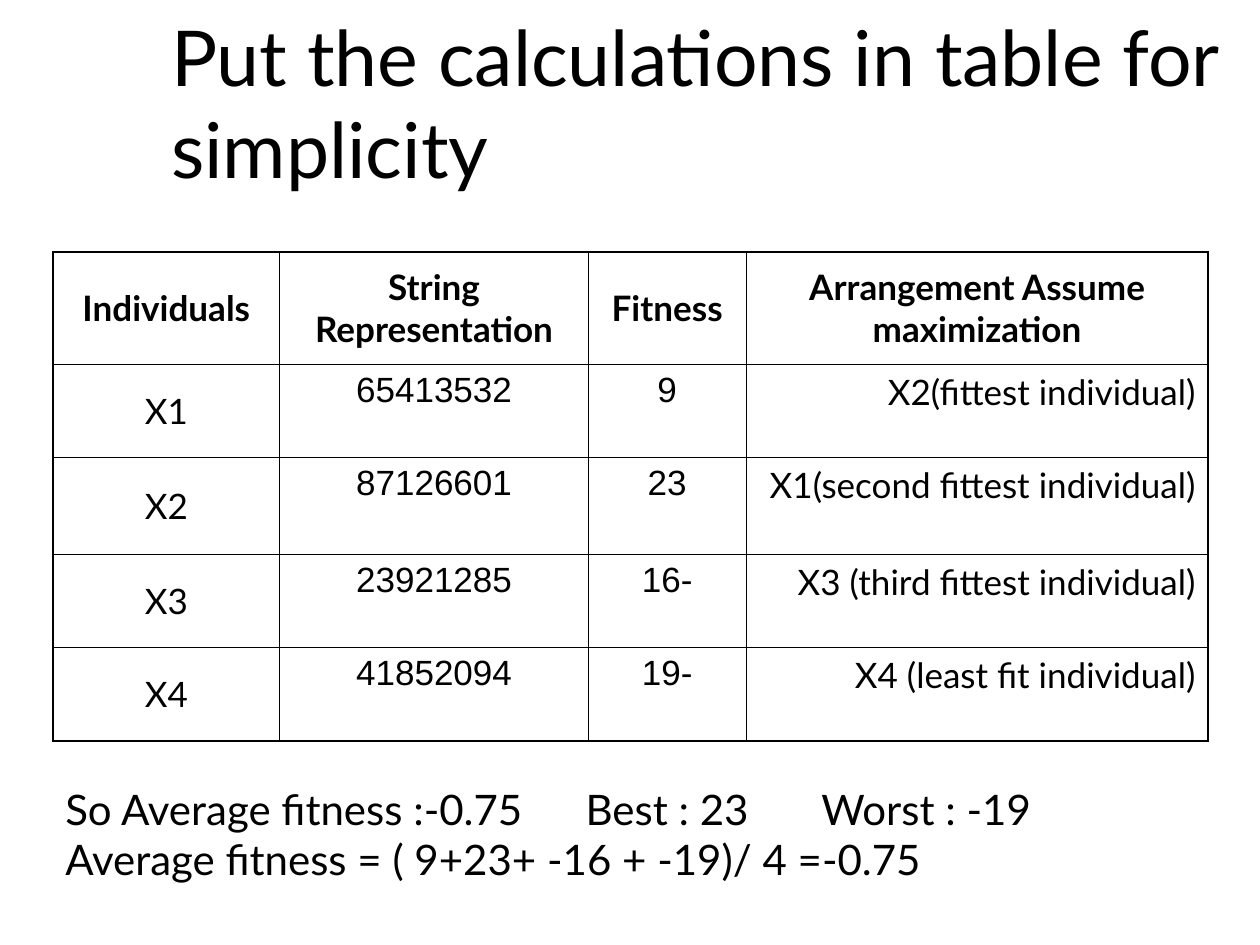
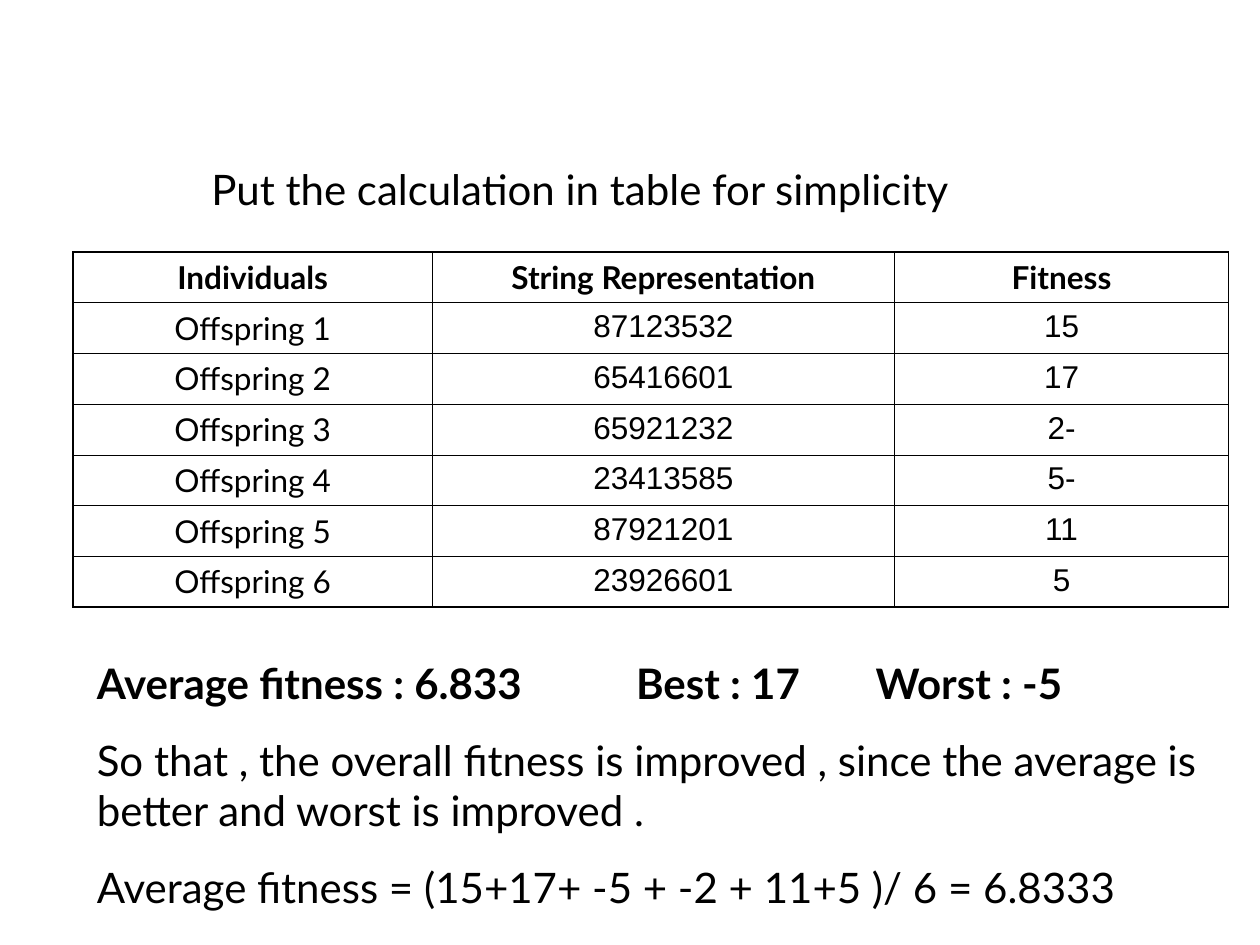
from dataclasses import dataclass

from lxml import etree
from pptx import Presentation
from pptx.dml.color import RGBColor
from pptx.enum.text import MSO_ANCHOR, PP_ALIGN
from pptx.oxml.ns import qn
from pptx.util import Inches, Pt

LEFT, CENTER, RIGHT = PP_ALIGN.LEFT, PP_ALIGN.CENTER, PP_ALIGN.RIGHT
TOP, MIDDLE, BOTTOM = MSO_ANCHOR.TOP, MSO_ANCHOR.MIDDLE, MSO_ANCHOR.BOTTOM


@dataclass(frozen=True)
class Theme:
    font: str = "Lato"
    digit_font: str = "Arial"
    ink: str = "000000"
    title_size: int = 44
    body_size: int = 24
    frame_line: float = 1.08
    grid_line: float = 0.45


def write(paragraph, text, theme, *, size, bold=False, align=LEFT, before=0,
          tabs=(), right_to_left=False):
    """Fill one paragraph; tabs are left tab stops in inches."""
    paragraph.alignment = align
    if before:
        paragraph.space_before = Pt(before)
    properties = paragraph._p.get_or_add_pPr()
    if tabs:
        tab_list = etree.SubElement(properties, qn("a:tabLst"))
        for stop in tabs:
            etree.SubElement(tab_list, qn("a:tab"), pos=str(Inches(stop)), algn="l")
    span = paragraph.add_run()
    span.text = text
    span.font.size = Pt(size)
    span.font.bold = bold
    span.font.color.rgb = RGBColor.from_string(theme.ink)
    span.font.name = theme.font
    if right_to_left:
        properties.set("rtl", "1")
        etree.SubElement(span._r.get_or_add_rPr(), qn("a:cs"),
                         typeface=theme.digit_font)


class Deck:
    def __init__(self, theme):
        self.theme = theme
        self.presentation = Presentation()
        self.presentation.slide_width = Inches(10)
        self.presentation.slide_height = Inches(7.5)
        self.page = None

    def add_page(self):
        blank = self.presentation.slide_layouts[6]
        self.page = self.presentation.slides.add_slide(blank)

    def text(self, left, top, width, height, lines, *, anchor=TOP, size=None):
        """Add a text box; each line is a text with its own format."""
        box = self.page.shapes.add_textbox(
            Inches(left), Inches(top), Inches(width), Inches(height))
        frame = box.text_frame
        frame.word_wrap = True
        frame.vertical_anchor = anchor
        for index, (line, style) in enumerate(lines):
            paragraph = frame.add_paragraph() if index else frame.paragraphs[0]
            write(paragraph, line, self.theme,
                  size=size or self.theme.body_size, **style)

    def table(self, left, top, widths, heights, rows, *, size, aligns, anchors):
        """Add a ruled table with a bold header; aligns and anchors go by column."""
        table = self.page.shapes.add_table(
            len(rows), len(widths), Inches(left), Inches(top),
            Inches(sum(widths)), Inches(sum(heights))).table
        table.first_row = table.horz_banding = False
        for column, width in zip(table.columns, widths):
            column.width = Inches(width)
        for row, height in zip(table.rows, heights):
            row.height = Inches(height)
        last_row, last_column = len(rows) - 1, len(widths) - 1
        for r, values in enumerate(rows):
            for c, value in enumerate(values):
                cell = table.cell(r, c)
                header = r == 0
                cell.vertical_anchor = MIDDLE if header else anchors[c]
                write(cell.text_frame.paragraphs[0], value, self.theme, size=size,
                      bold=header, align=CENTER if header else aligns[c],
                      right_to_left=True)
                self.rule(cell, {"a:lnL": c == 0, "a:lnR": c == last_column,
                                 "a:lnT": header, "a:lnB": r == last_row})
                cell.fill.background()

    def rule(self, cell, edges):
        """Draw the cell borders, heavier where the edge is on the frame."""
        properties = cell._tc.get_or_add_tcPr()
        for tag, on_frame in edges.items():
            weight = self.theme.frame_line if on_frame else self.theme.grid_line
            line = etree.SubElement(properties, qn(tag), w=str(Pt(weight)))
            fill = etree.SubElement(line, qn("a:solidFill"))
            etree.SubElement(fill, qn("a:srgbClr"), val=self.theme.ink)


def add_parents_page(deck):
    deck.add_page()
    deck.text(1.26, 0.68, 8.53, 0.91,
              [("Put the calculations in table for simplicity", {})],
              anchor=BOTTOM, size=deck.theme.title_size)
    rows = [
        ("Individuals", "String Representation", "Fitness",
         "Arrangement Assume maximization"),
        ("X1", "65413532", "9", "X2(fittest individual)"),
        ("X2", "87126601", "23", "X1(second fittest individual)"),
        ("X3", "23921285", "-16", "X3 (third fittest individual)"),
        ("X4", "41852094", "-19", "X4 (least fit individual)"),
    ]
    deck.table(0.42, 2, [1.8, 2.45, 1.25, 3.67], [0.89, 0.74, 0.77, 0.74, 0.74],
               rows, size=20, aligns=[CENTER, CENTER, CENTER, RIGHT],
               anchors=[MIDDLE, TOP, TOP, TOP])
    deck.text(0.42, 6.17, 9.1, 0.9, [
        ("So Average fitness :-0.75\tBest : 23\tWorst : -19", {"tabs": (4.13, 6)}),
        ("Average fitness = ( 9+23+ -16 + -19)/ 4 =-0.75", {}),
    ])


def add_offspring_page(deck):
    deck.add_page()
    strings = ["87123532", "65416601", "65921232", "23413585", "87921201", "23926601"]
    fitness = ["15", "17", "-2", "-5", "11", "5"]
    rows = [("Individuals", "String Representation", "Fitness")]
    rows += [(f"Offspring {number}", string, value)
             for number, (string, value) in enumerate(zip(strings, fitness), 1)]
    deck.table(0.58, 2, [2.85, 3.67, 2.65], [2.82 / len(rows)] * len(rows), rows,
               size=18, aligns=[CENTER] * 3, anchors=[TOP] * 3)
    deck.text(1.58, 1.25, 7.67, 0.5,
              [("Put the calculation in table for simplicity", {})])
    deck.text(0.67, 5.17, 9.08, 2.12, [
        ("Average fitness : 6.833\tBest : 17\tWorst : -5",
         {"bold": True, "tabs": (4.28, 6.18)}),
        ("So that , the overall fitness is improved , since the average is better "
         "and worst is improved .", {"before": 15}),
        ("Average fitness = (15+17+ -5 + -2 + 11+5 )/ 6 = 6.8333", {"before": 15}),
    ])


def main():
    deck = Deck(Theme())
    add_parents_page(deck)
    add_offspring_page(deck)
    deck.presentation.save("out.pptx")


if __name__ == "__main__":
    main()
